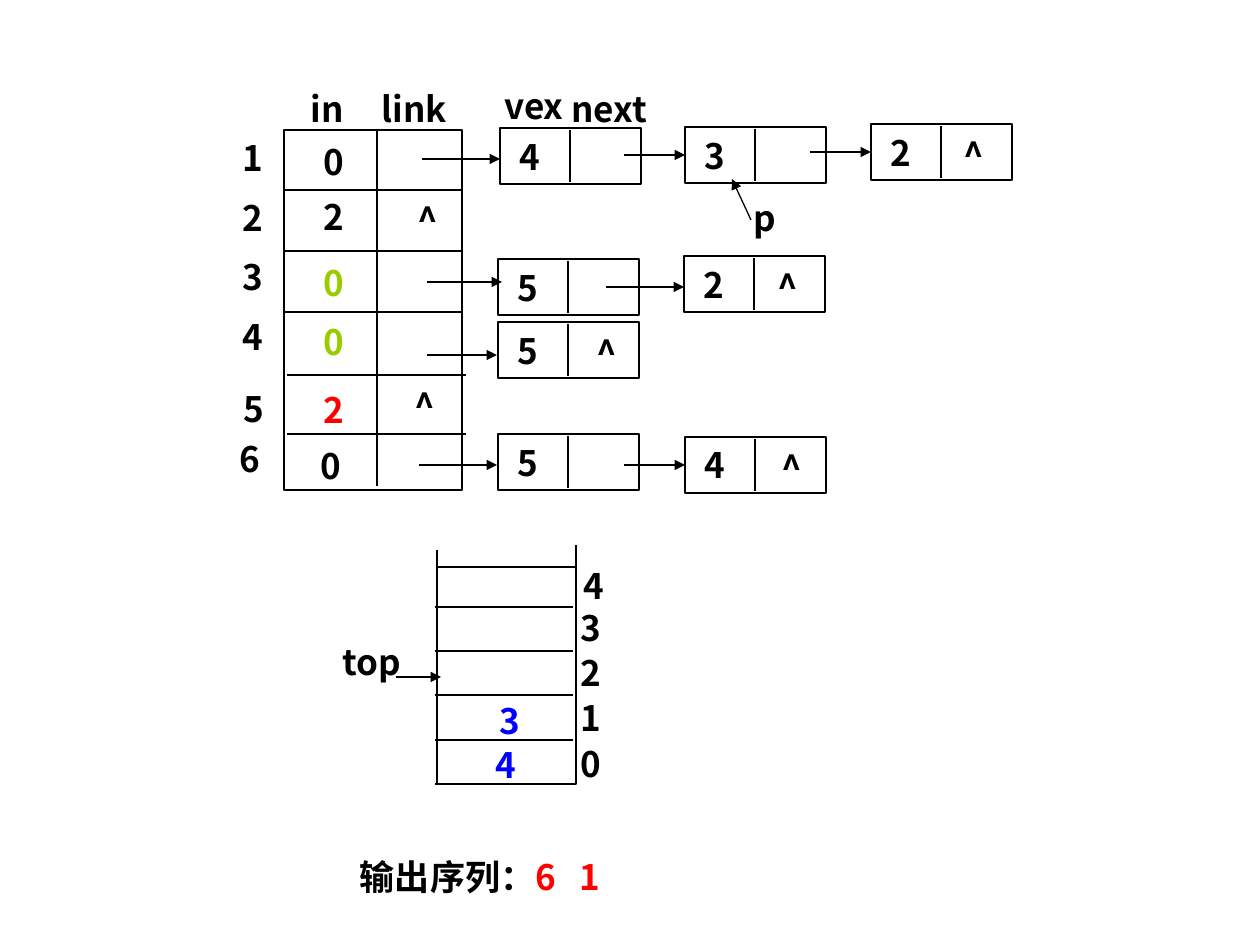
import pptx
import pptx.util
import pptx.dml.color
import pptx.enum.shapes
import pptx.enum.text
import pptx.oxml.ns
from lxml import etree

PX = 914400 / 126
FONT = "Noto Sans CJK SC"
COLORS = {"black": "000000", "white": "FFFFFF", "green": "99CC00",
          "red": "FF0000", "blue": "0000FF"}
LEFT = pptx.enum.text.PP_ALIGN.LEFT
CENTER = pptx.enum.text.PP_ALIGN.CENTER

NODE_W, NODE_H, TEXT_H = 141, 56, 54
TABLE = (284, 130, 178, 360)
STACK = (437, 567, 139, 217)
STACK_CELL = (437, 694, 139, 44)

# name: left, top, value, offset of the end mark
NODES = {
    "1a": (500, 128, "4", None),
    "1b": (685, 127, "3", None),
    "1c": (871, 124, "2", 82),
    "3a": (498, 259, "5", None),
    "3b": (684, 256, "2", 83),
    "4a": (498, 322, "5", 88),
    "6a": (498, 434, "5", None),
    "6b": (685, 437, "4", 86),
}
TABLE_RULES = [(284, 461, y) for y in (190, 251, 312)] + [(287, 466, y) for y in (375, 434)]
STACK_RULES = [(435, 573, y) for y in (607, 651, 695, 740, 784)] + [(437, 576, 567)]
UPRIGHTS = [(377, 130, 486), (437, 550, 784), (576, 545, 781)]

ARROWS = [
    (422, 159, 500, 159),
    (427, 282, 502, 282),
    (427, 355, 497, 355),
    (606, 287, 684, 287),
    (419, 465, 497, 465),
    (751, 220, 732, 179),
    (396, 677, 441, 677),
]
JOINED_ARROWS = [(624, "1b"), (810, "1c"), (624, "6b")]

LABELS = [
    ("in", 301, 81, 53, "black"),
    ("link", 375, 81, 79, "black"),
    ("vex", 496, 78, 76, "black"),
    ("next", 566, 81, 86, "black"),
    ("^", 407, 192, 42, "black"),
    ("^", 404, 378, 42, "black"),
    ("p", 743, 190, 43, "black"),
    ("top", 336, 634, 71, "black"),
    ("3", 488, 693, 43, "blue"),
    ("4", 484, 737, 43, "blue"),
]
ROW_NUMBERS = [(231, 130), (231, 190), (231, 249), (231, 309), (232, 381), (228, 431)]
IN_DEGREES = [
    ("0", 312, 134, "black"), ("2", 312, 189, "black"), ("0", 312, 255, "green"),
    ("0", 312, 314, "green"), ("2", 312, 382, "red"), ("0", 309, 438, "black"),
]
STACK_INDEXES = [("4", 572, 558), ("3", 569, 600), ("2", 569, 645),
                 ("1", 569, 690), ("0", 569, 736)]
LABELS += [(str(i), x, y, 43, "black") for i, (x, y) in enumerate(ROW_NUMBERS, 1)]
LABELS += [(text, x, y, 43, color) for text, x, y, color in IN_DEGREES]
LABELS += [(text, x, y, 43, "black") for text, x, y in STACK_INDEXES]

OUTPUT = [("输出序列：", "black", 0), ("6", "red", 0), (" ", "red", 900), ("1", "red", 0)]


def emu(*lengths):
    return [round(length * PX) for length in lengths]


def rgb(name):
    return pptx.dml.color.RGBColor.from_string(COLORS[name])


def write(box, spans, align, indent=0):
    frame = box.text_frame
    formats = {"margin_left": emu(indent)[0], "margin_right": 0, "margin_top": 0,
               "margin_bottom": 0, "word_wrap": True,
               "vertical_anchor": pptx.enum.text.MSO_ANCHOR.MIDDLE}
    for name, value in formats.items():
        setattr(frame, name, value)
    para = frame.paragraphs[0]
    para.alignment = align
    for text, color, spacing in spans:
        span = para.add_run()
        span.text = text
        for name, value in {"size": pptx.util.Pt(20), "bold": True, "name": FONT}.items():
            setattr(span.font, name, value)
        span.font.color.rgb = rgb(color)
        props = span._r.get_or_add_rPr()
        etree.SubElement(props, pptx.oxml.ns.qn("a:ea"), typeface=FONT)
        if spacing:
            props.set("spc", str(spacing))


def add_label(page, text, left, top, width, color):
    box = page.shapes.add_textbox(*emu(left, top, width, TEXT_H))
    write(box, [(text, color, 0)], CENTER)


def add_box(page, place, fill=None):
    box = page.shapes.add_shape(pptx.enum.shapes.MSO_SHAPE.RECTANGLE, *emu(*place))
    box.shadow.inherit = False
    if fill:
        box.fill.solid()
        box.fill.fore_color.rgb = rgb(fill)
    else:
        box.fill.background()
    box.line.color.rgb = rgb("black")
    box.line.width = pptx.util.Pt(0.75)
    return box


def add_line(page, ends, arrow=False):
    line = page.shapes.add_connector(pptx.enum.shapes.MSO_CONNECTOR.STRAIGHT, *emu(*ends))
    line.line.color.rgb = rgb("black")
    line.line.width = pptx.util.Pt(0.75)
    if arrow:
        etree.SubElement(line.line._get_or_add_ln(), pptx.oxml.ns.qn("a:tailEnd"), type="triangle")
    etree.SubElement(line._element.spPr, pptx.oxml.ns.qn("a:effectLst"))
    return line


def add_node(page, left, top, value, mark):
    box = add_box(page, (left, top, NODE_W, NODE_H))
    write(box, [(value, "black", 0)], LEFT, 20)
    middle = left + NODE_W // 2
    add_line(page, (middle, top + 2, middle, top + NODE_H - 2))
    if mark:
        add_label(page, "^", left + mark, top + 3, 42, "black")
    return box


def main():
    deck = pptx.Presentation()
    deck.slide_width, deck.slide_height = emu(1260, 945)
    page = deck.slides.add_slide(deck.slide_layouts[6])

    add_box(page, TABLE)
    add_box(page, STACK_CELL, "white")
    add_box(page, STACK, "white")
    for start, end, y in TABLE_RULES + STACK_RULES:
        add_line(page, (start, y, end, y))
    for x, start, end in UPRIGHTS:
        add_line(page, (x, start, x, end))

    nodes = {name: add_node(page, *node) for name, node in NODES.items()}
    for ends in ARROWS:
        add_line(page, ends, arrow=True)
    for start, name in JOINED_ARROWS:
        left, top = NODES[name][:2]
        y = top + NODE_H // 2
        add_line(page, (start, y, left, y), arrow=True).end_connect(nodes[name], 1)

    for label in LABELS:
        add_label(page, *label)
    write(page.shapes.add_textbox(*emu(348, 849, 262, TEXT_H)), OUTPUT, LEFT, 12)
    deck.save("out.pptx")


if __name__ == "__main__":
    main()
